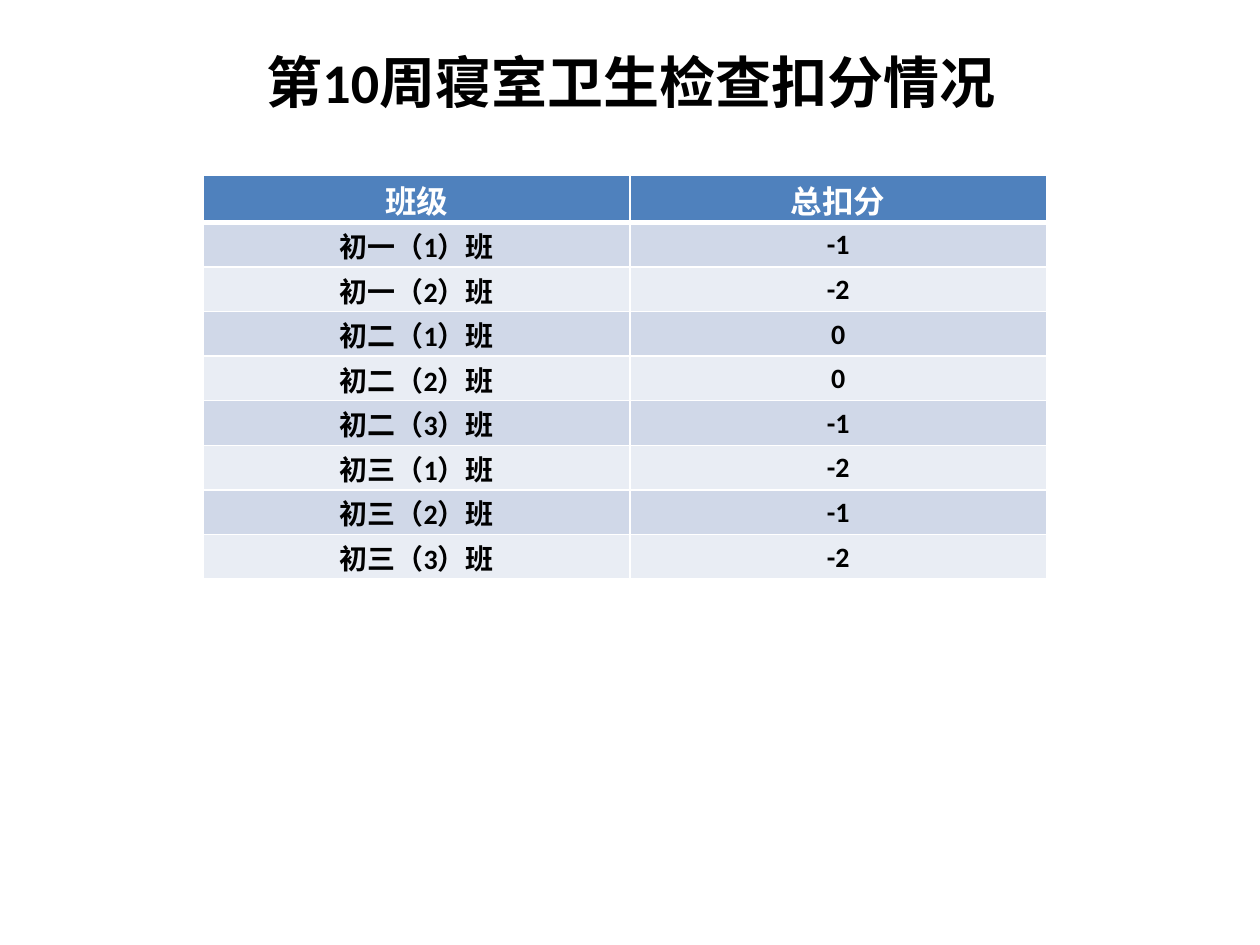
from dataclasses import dataclass

from lxml.etree import SubElement
from pptx import Presentation
from pptx.dml.color import RGBColor
from pptx.enum.text import MSO_ANCHOR, PP_ALIGN
from pptx.oxml.ns import qn
from pptx.util import Pt


@dataclass(frozen=True)
class Theme:
    font: str = "Calibri"
    title_size: float = 32
    header_size: float = 18
    body_size: float = 16
    text: str = "000000"
    header_text: str = "FFFFFF"
    header_fill: str = "4F81BD"
    band_fills: tuple = ("D0D8E8", "E9EDF4")
    rule: str = "FFFFFF"
    thin_rule: float = 1
    thick_rule: float = 3


class SlideBuilder:
    def __init__(self, slide, theme):
        self.slide = slide
        self.theme = theme

    def format_text(self, text_frame, size, color):
        paragraph = text_frame.paragraphs[0]
        paragraph.alignment = PP_ALIGN.CENTER
        for run in paragraph.runs:
            run.font.name = self.theme.font
            run.font.size = Pt(size)
            run.font.bold = True
            run.font.color.rgb = RGBColor.from_string(color)

    def add_title(self, text, left, top, width, height):
        title = self.slide.shapes.title
        title.left, title.top = Pt(left), Pt(top)
        title.width, title.height = Pt(width), Pt(height)
        title.text_frame.text = text
        title.text_frame.vertical_anchor = MSO_ANCHOR.MIDDLE
        self.format_text(title.text_frame, self.theme.title_size, self.theme.text)

    def add_table(self, rows, left, top, column_widths, row_height):
        table = self.slide.shapes.add_table(
            len(rows), len(column_widths), Pt(left), Pt(top),
            Pt(sum(column_widths)), Pt(row_height * len(rows))).table
        for column, width in zip(table.columns, column_widths):
            column.width = Pt(width)
        for row_index, values in enumerate(rows):
            for column_index, value in enumerate(values):
                self.format_cell(table.cell(row_index, column_index), value, row_index)

    def format_cell(self, cell, value, row_index):
        theme = self.theme
        if row_index == 0:
            size, color, fill = theme.header_size, theme.header_text, theme.header_fill
        else:
            size, color = theme.body_size, theme.text
            fill = theme.band_fills[(row_index - 1) % len(theme.band_fills)]
        cell.text_frame.text = value
        self.format_text(cell.text_frame, size, color)
        cell.vertical_anchor = MSO_ANCHOR.MIDDLE
        cell.margin_left = cell.margin_right = cell.margin_top = Pt(0.7)
        cell.margin_bottom = Pt(0)
        self.add_borders(cell, row_index)
        cell.fill.solid()
        cell.fill.fore_color.rgb = RGBColor.from_string(fill)

    def add_borders(self, cell, row_index):
        """Draw thin rules, with a thick one between header and body."""
        properties = cell._tc.get_or_add_tcPr()
        thick_side = {0: "lnB", 1: "lnT"}.get(row_index)
        for side in ("lnL", "lnR", "lnT", "lnB"):
            width = self.theme.thick_rule if side == thick_side else self.theme.thin_rule
            line = SubElement(properties, qn(f"a:{side}"), w=str(Pt(width)))
            fill = SubElement(line, qn("a:solidFill"))
            SubElement(fill, qn("a:srgbClr"), val=self.theme.rule)


def main():
    presentation = Presentation()
    presentation.slide_width, presentation.slide_height = Pt(720), Pt(540)
    title_only = presentation.slide_layouts.get_by_name("Title Only")
    builder = SlideBuilder(presentation.slides.add_slide(title_only), Theme())

    builder.add_title("第10周寝室卫生检查扣分情况", 36.7, 21, 648, 51)
    deductions = [
        ("班级", "总扣分"),
        ("初一（1）班", "-1"),
        ("初一（2）班", "-2"),
        ("初二（1）班", "0"),
        ("初二（2）班", "0"),
        ("初二（3）班", "-1"),
        ("初三（1）班", "-2"),
        ("初三（2）班", "-1"),
        ("初三（3）班", "-2"),
    ]
    builder.add_table(deductions, 116.2, 100.3, (243.8, 238), 25.5)
    presentation.save("out.pptx")


if __name__ == "__main__":
    main()
